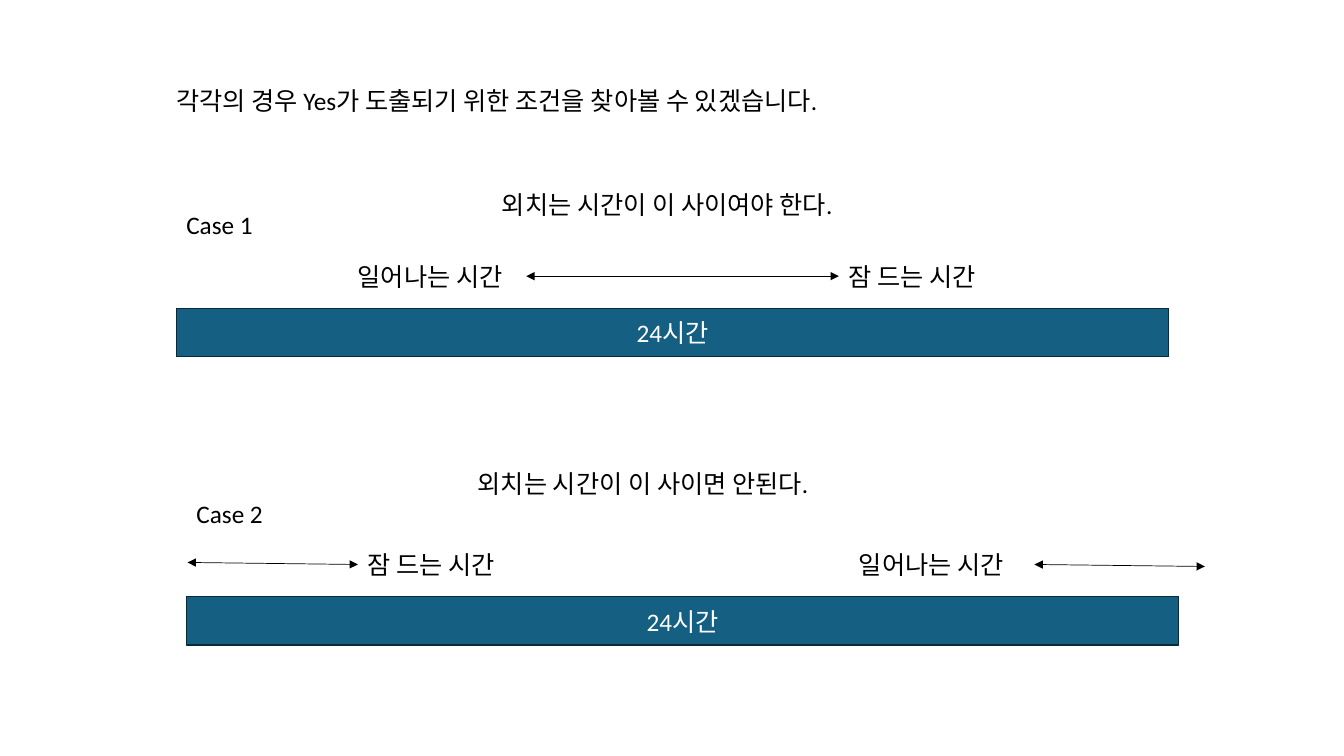
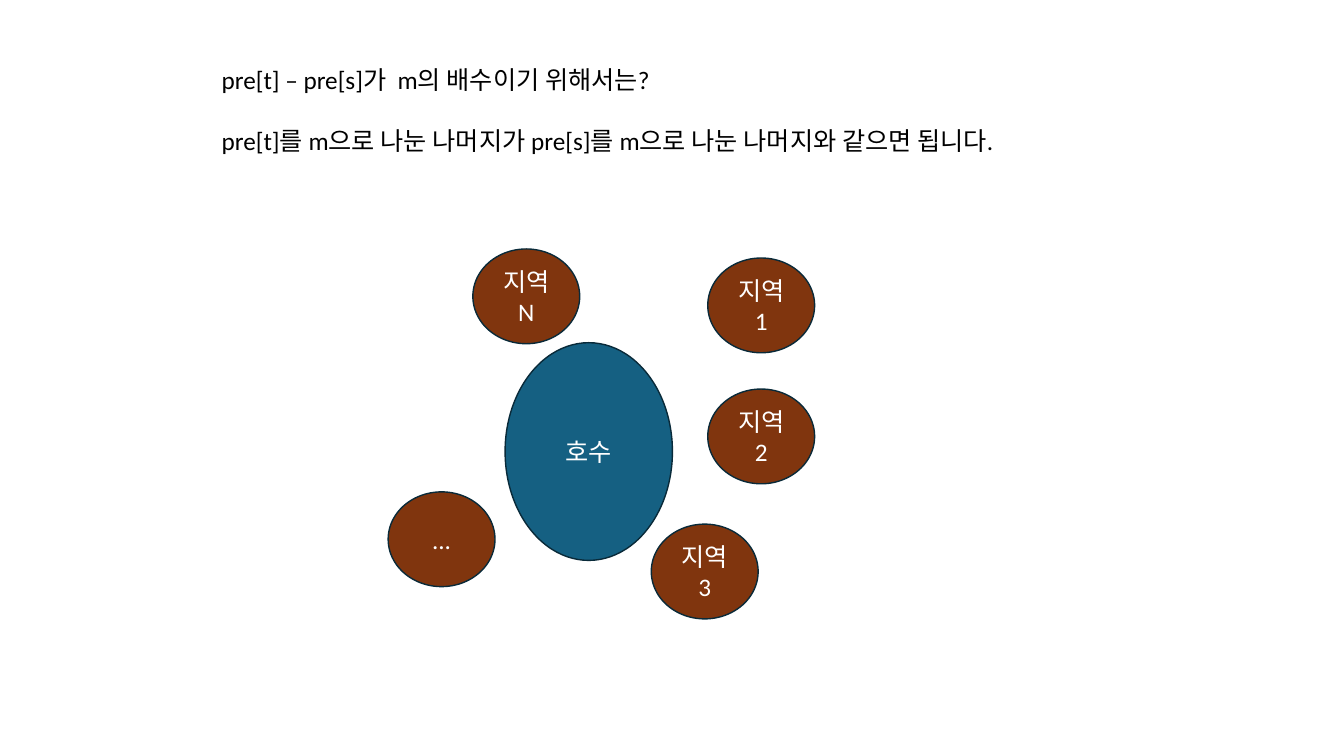
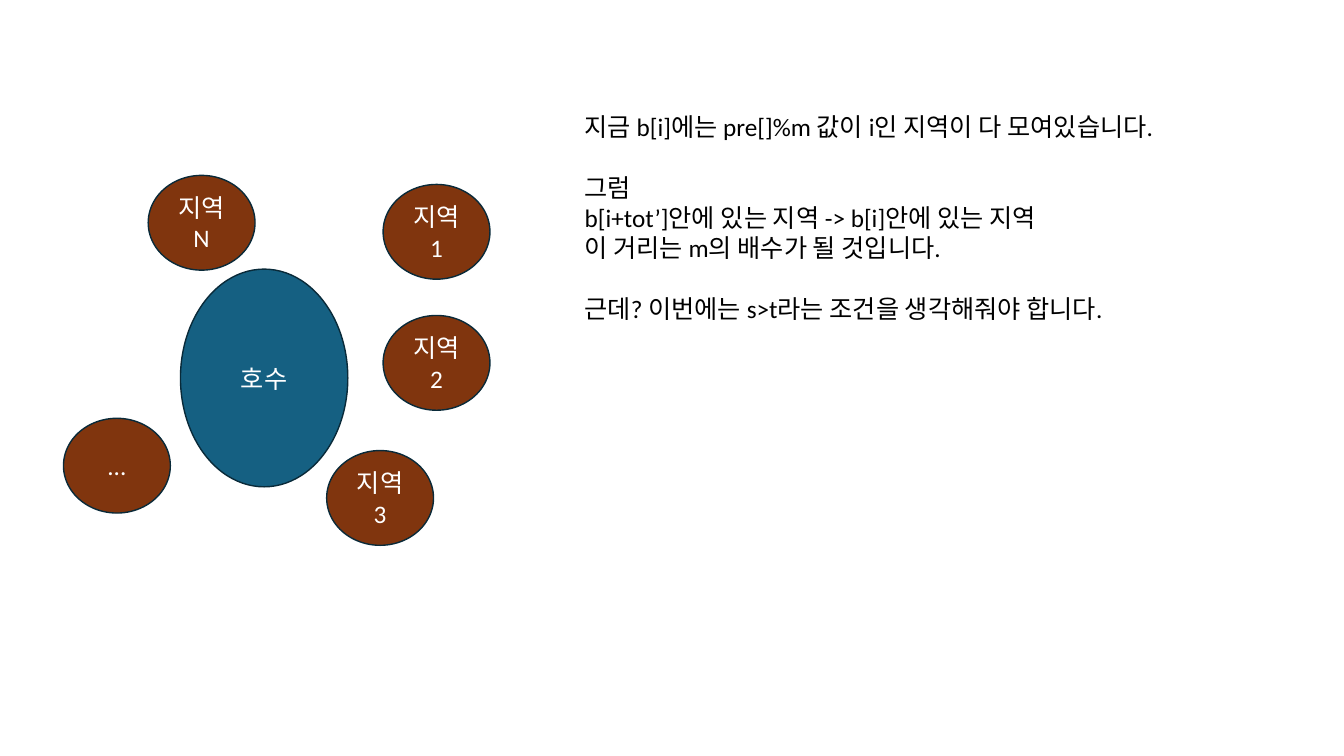
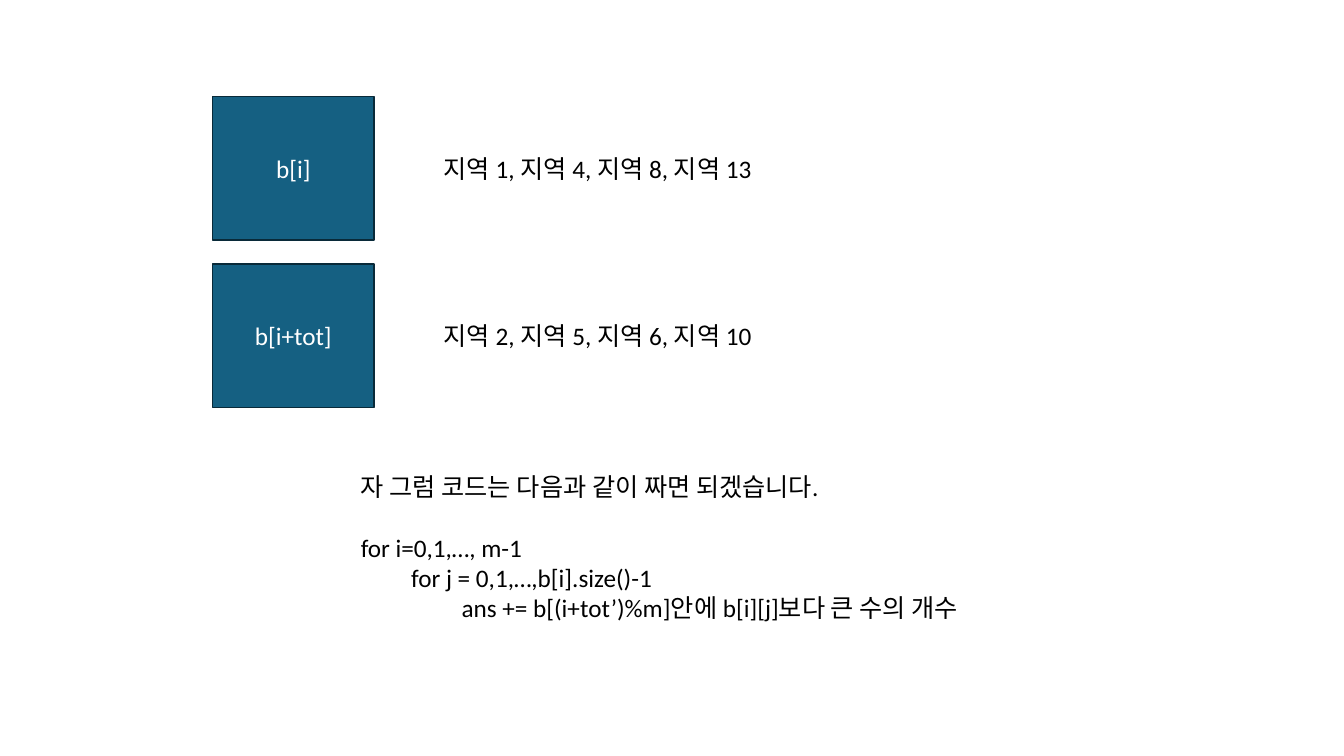
import dataclasses
import typing

import pptx
import pptx.dml.color
import pptx.enum.shapes
import pptx.enum.text
import pptx.oxml.ns
import pptx.presentation
import pptx.shapes.autoshape
import pptx.shapes.base
import pptx.shapes.connector
import pptx.slide
import pptx.util
from lxml import etree

Inches = pptx.util.Inches
Pt = pptx.util.Pt
RECT = pptx.enum.shapes.MSO_SHAPE.RECTANGLE
OVAL = pptx.enum.shapes.MSO_SHAPE.OVAL
Box = tuple[float, float, float, float]
Point = tuple[float, float]


@dataclasses.dataclass(frozen=True)
class Theme:
    font: str = "Calibri"
    size: float = 18
    gap: float = 21.6
    tab: float = 0.5
    ink: str = "000000"
    paper: str = "FFFFFF"
    blue: str = "156082"
    brown: str = "80350E"
    edge: str = "092A39"
    border: float = 1
    thin: float = 0.5


THEME = Theme()


class Line(typing.NamedTuple):
    text: str
    gap: bool = False
    level: int = 0


class Region(typing.NamedTuple):
    text: str
    right: float
    down: float


class Row(typing.NamedTuple):
    name: str
    items: str


class Case(typing.NamedTuple):
    name: str
    left: float
    top: float
    first: tuple[str, float, float]
    last: tuple[str, float, float]
    rule: str
    spot: Point


REGIONS = (
    Region("지역1", 2.01, -0.84),
    Region("지역2", 2.01, 0.46),
    Region("지역3", 1.45, 1.8),
    Region("지역N", -0.32, -0.93),
    Region("...", -1.16, 1.48),
)

WAKE = "일어나는 시간"
SLEEP = "잠 드는 시간"

CASES = (
    Case("Case 1", 1.75, 3.06, (WAKE, 3.45, 1.77), (SLEEP, 8.32, 1.58),
         "외치는 시간이 이 사이여야 한다.", (4.88, 1.83)),
    Case("Case 2", 1.85, 5.92, (SLEEP, 3.55, 1.58), (WAKE, 8.42, 1.77),
         "외치는 시간이 이 사이면 안된다.", (4.64, 4.6)),
)

ROWS = (
    Row("b[i]", "지역 1, 지역 4, 지역 8, 지역 13"),
    Row("b[i+tot]", "지역 2, 지역 5, 지역 6, 지역 10"),
)


def tint(code: str) -> pptx.dml.color.RGBColor:
    return pptx.dml.color.RGBColor.from_string(code)


def write(shape: pptx.shapes.autoshape.Shape, *lines: Line, color: str = THEME.ink,
          center: bool = False, wrap: bool = True) -> None:
    frame = shape.text_frame
    frame.word_wrap = wrap
    align = pptx.enum.text.PP_ALIGN
    for index, line in enumerate(lines):
        par = frame.paragraphs[0] if index == 0 else frame.add_paragraph()
        if line.level:
            props = par._p.get_or_add_pPr()
            props.set("marL", str(Inches(THEME.tab * line.level)))
            props.set("indent", "0")
        par.alignment = align.CENTER if center else align.LEFT
        if line.gap:
            par.space_before = Pt(THEME.gap)
        run = par.add_run()
        run.text = line.text
        run.font.name = THEME.font
        run.font.size = Pt(THEME.size)
        run.font.color.rgb = tint(color)


def label(slide: pptx.slide.Slide, box: Box, *lines: Line,
          wrap: bool = True) -> pptx.shapes.autoshape.Shape:
    shape = slide.shapes.add_textbox(*map(Inches, box))
    write(shape, *lines, wrap=wrap)
    shape.text_frame.auto_size = pptx.enum.text.MSO_AUTO_SIZE.SHAPE_TO_FIT_TEXT
    return shape


def block(slide: pptx.slide.Slide, kind: pptx.enum.shapes.MSO_SHAPE, box: Box,
          text: str, fill: str = THEME.blue) -> None:
    shape = slide.shapes.add_shape(kind, *map(Inches, box))
    shape.shadow.inherit = False
    shape.fill.solid()
    shape.fill.fore_color.rgb = tint(fill)
    shape.line.color.rgb = tint(THEME.edge)
    shape.line.width = Pt(THEME.border)
    shape.text_frame.vertical_anchor = pptx.enum.text.MSO_ANCHOR.MIDDLE
    write(shape, Line(text), color=THEME.paper, center=True)


def arrow(slide: pptx.slide.Slide, start: Point, end: Point,
          tail: pptx.shapes.base.BaseShape | None = None,
          head: pptx.shapes.base.BaseShape | None = None) -> None:
    kind = pptx.enum.shapes.MSO_CONNECTOR.STRAIGHT
    link = slide.shapes.add_connector(kind, *map(Inches, start + end))
    link.line.color.rgb = tint(THEME.ink)
    link.line.width = Pt(THEME.thin)
    if tail is not None:
        link.begin_connect(tail, 3)
    if head is not None:
        link.end_connect(head, 1)
    name = pptx.oxml.ns.qn
    stroke = link.line._get_or_add_ln()
    for tip in ("a:headEnd", "a:tailEnd"):
        etree.SubElement(stroke, name(tip)).set("type", "triangle")
    etree.SubElement(link._element.spPr, name("a:effectLst"))


def lake(slide: pptx.slide.Slide, left: float, top: float) -> None:
    block(slide, OVAL, (left, top, 1.66, 2.16), "호수")
    for item in REGIONS:
        box = (left + item.right, top + item.down, 1.06, 0.94)
        block(slide, OVAL, box, item.text, THEME.brown)


def hours(slide: pptx.slide.Slide) -> None:
    label(slide, (1.65, 0.8, 10.04, 0.4),
          Line("각각의 경우 Yes가 도출되기 위한 조건을 찾아볼 수 있겠습니다."))
    marks = []
    for case in CASES:
        block(slide, RECT, (case.left, case.top, 9.84, 0.48), "24시간")
        label(slide, (case.left, case.top - 1.03, 0.87, 0.4), Line(case.name), wrap=False)
        for text, left, width in (case.first, case.last):
            box = (left, case.top - 0.52, width, 0.4)
            marks.append(label(slide, box, Line(text), wrap=False))
        label(slide, (*case.spot, 3.78, 0.4), Line(case.rule), wrap=False)
    wake, sleep, early, _ = marks
    arrow(slide, (5.23, 2.75), (8.32, 2.75), tail=wake, head=sleep)
    arrow(slide, (1.86, 5.58), (3.55, 5.6), head=early)
    arrow(slide, (10.26, 5.6), (11.95, 5.62))


def modulo(slide: pptx.slide.Slide) -> None:
    label(slide, (2.1, 0.59, 9.13, 1.01),
          Line("pre[t] – pre[s]가  m의 배수이기 위해서는?"),
          Line("pre[t]를 m으로 나눈 나머지가 pre[s]를 m으로 나눈 나머지와 같으면 됩니다.", gap=True))
    lake(slide, 5.01, 3.4)


def order(slide: pptx.slide.Slide) -> None:
    lake(slide, 1.79, 2.67)
    label(slide, (5.7, 1.06, 6.49, 2.22),
          Line("지금 b[i]에는 pre[]%m 값이 i인 지역이 다 모여있습니다."),
          Line("그럼", gap=True),
          Line("b[i+tot’]안에 있는 지역 -> b[i]안에 있는 지역"),
          Line("이 거리는 m의 배수가 될 것입니다."),
          Line("근데? 이번에는 s>t라는 조건을 생각해줘야 합니다.", gap=True))


def code(slide: pptx.slide.Slide) -> None:
    for index, row in enumerate(ROWS):
        top = 0.96 + 1.66 * index
        block(slide, RECT, (2.11, top, 1.6, 1.42), row.name)
        label(slide, (4.3, top + 0.51, 6.82, 0.4), Line(row.items))
    label(slide, (3.48, 4.63, 6.37, 1.62),
          Line("자 그럼 코드는 다음과 같이 짜면 되겠습니다."),
          Line("for i=0,1,…, m-1", gap=True),
          Line("for j = 0,1,…,b[i].size()-1", level=1),
          Line("ans += b[(i+tot’)%m]안에 b[i][j]보다 큰 수의 개수", level=2),
          wrap=False)


def main() -> None:
    deck = pptx.Presentation()
    deck.slide_width = Inches(13.33)
    deck.slide_height = Inches(7.5)
    for draw in (hours, modulo, order, code):
        draw(deck.slides.add_slide(deck.slide_layouts[6]))
    deck.save("out.pptx")


if __name__ == "__main__":
    main()
